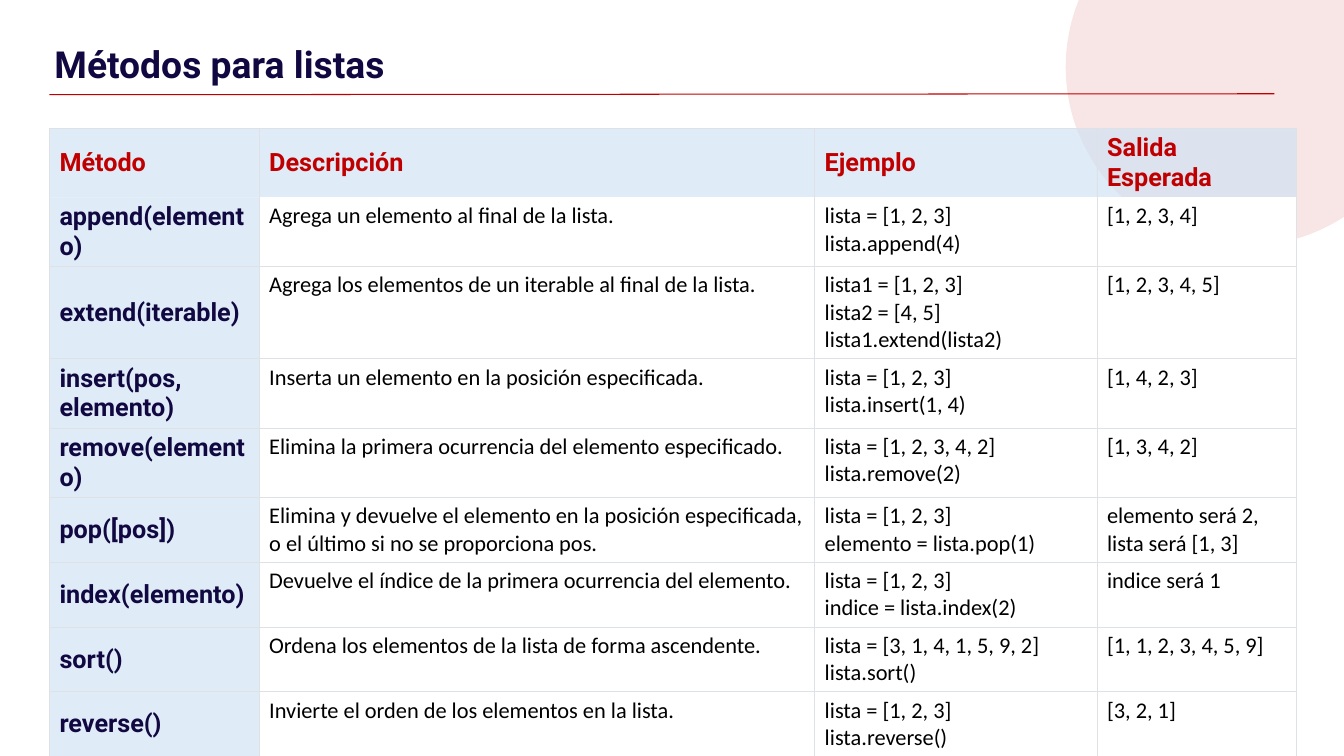
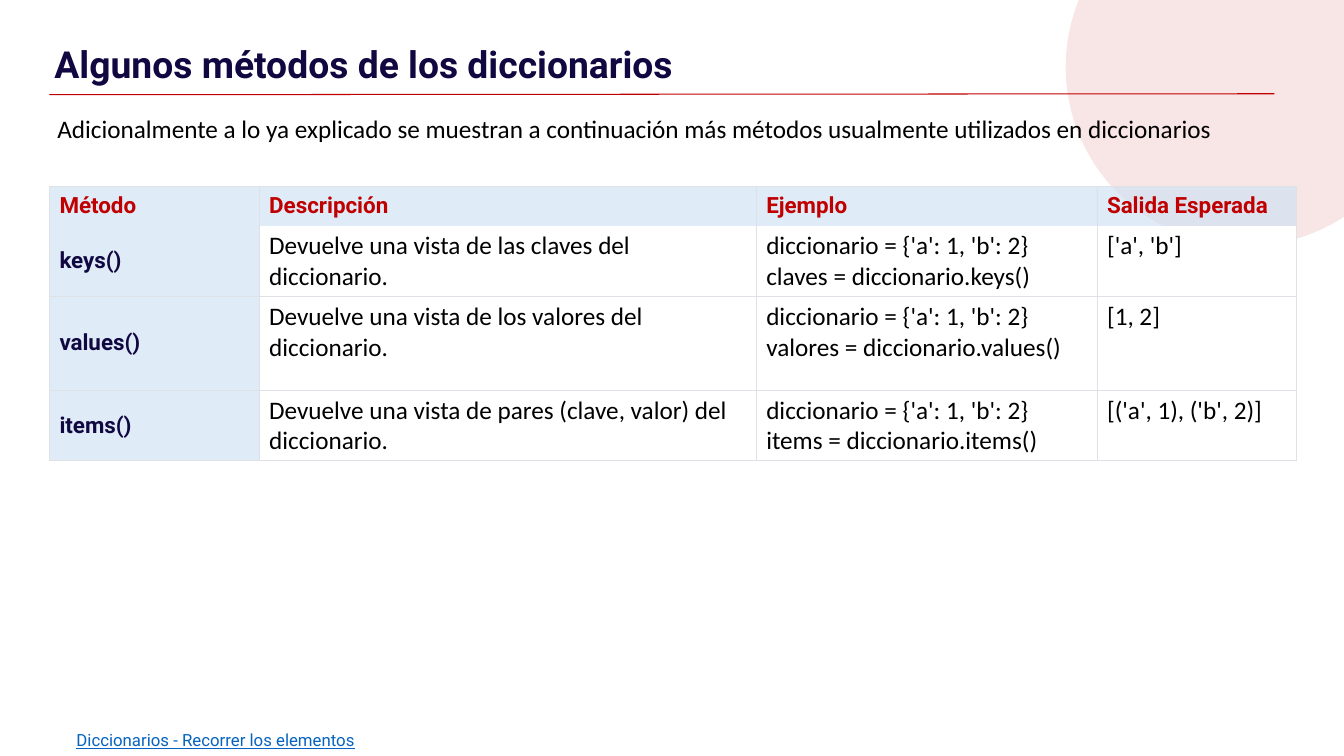
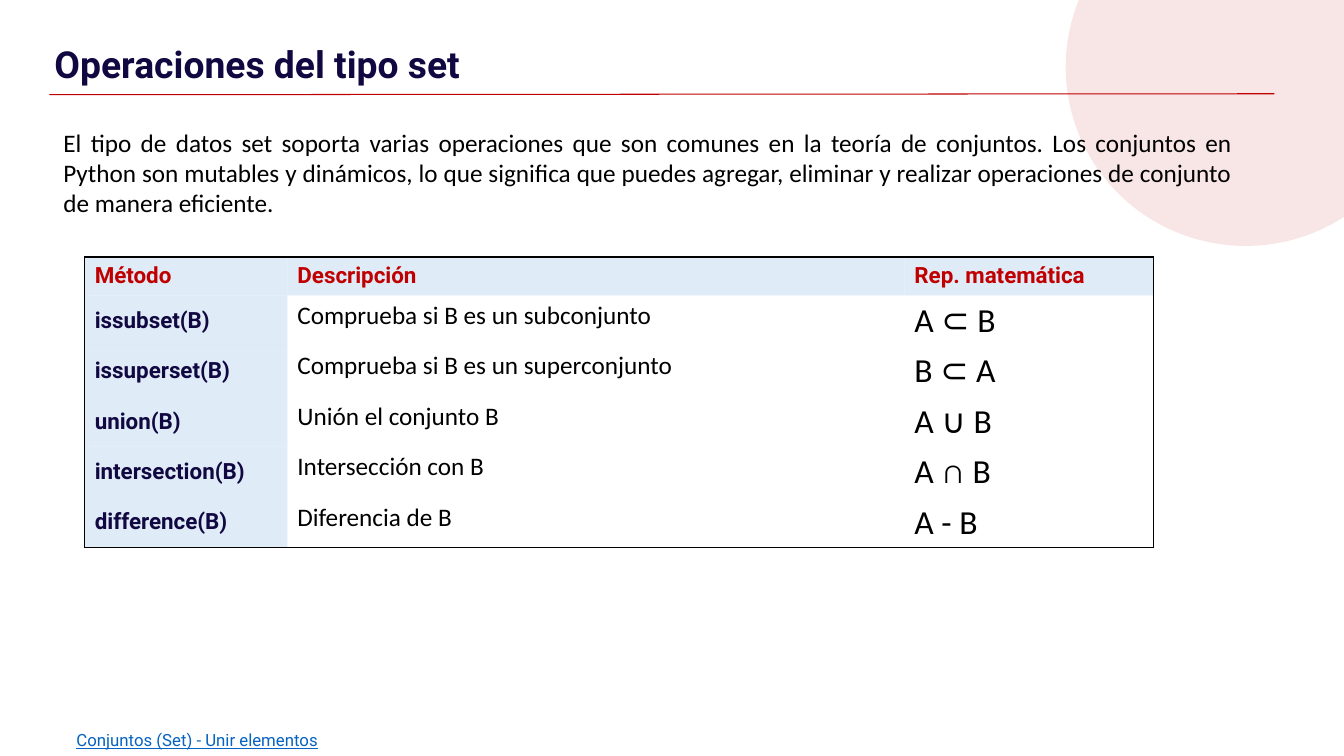
import pptx
import pptx.util
import pptx.dml.color
import pptx.enum.shapes
import pptx.enum.text
import pptx.oxml.ns
import lxml.etree

Inches = pptx.util.Inches
qn = pptx.oxml.ns.qn
Align = pptx.enum.text.PP_ALIGN
Anchor = pptx.enum.text.MSO_ANCHOR

RED, NAVY, BLACK, WHITE = "C00000", "110741", "000000", "FFFFFF"
PALE_BLUE, GRID_GREY, LINK_BLUE = "CFE2F3", "DEE2E6", "0563C1"


def paint(fill, color, opacity=100):
    fill.solid()
    fill.fore_color.rgb = pptx.dml.color.RGBColor.from_string(color)
    if opacity < 100:
        tint = fill._xPr.find(".//" + qn("a:srgbClr"))
        lxml.etree.SubElement(tint, qn("a:alpha"), val=str(opacity * 1000))


def write(frame, text, color, size, align=Align.LEFT, **style):
    frame.text = text
    frame.word_wrap = True
    for para in frame.paragraphs:
        para.alignment = align
        paint(para.font.fill, color)
        para.font.size = pptx.util.Pt(size)
        for name, value in style.items():
            setattr(para.font, name, value)


HEADING = {"name": "Roboto", "bold": True}
BODY = {"name": "Calibri", "bold": False}
TITLE_FRAME = {
    "margin_left": Inches(0.13),
    "margin_right": Inches(0.13),
    "margin_top": Inches(0.46),
    "margin_bottom": 0,
    "vertical_anchor": Anchor.TOP,
    "auto_size": pptx.enum.text.MSO_AUTO_SIZE.NONE,
}

topics = [
    {
        "title": "Métodos para listas",
        "place": (0.49, 1.27),
        "columns": [2.08, 5.51, 2.8, 1.98],
        "heights": [0.39, 0.43] + [0.42] * 5 + [0.63] * 2,
        "heading_size": 18,
        "body_sizes": [16, 16, 16],
        "grid": True,
        "rows": [
            ["Método", "Descripción", "Ejemplo", "Salida Esperada"],
            ["append(elemento)", "Agrega un elemento al final de la lista.",
             "lista = [1, 2, 3]\nlista.append(4)", "[1, 2, 3, 4]"],
            ["extend(iterable)", "Agrega los elementos de un iterable al final de la lista.",
             "lista1 = [1, 2, 3]\nlista2 = [4, 5]\nlista1.extend(lista2)", "[1, 2, 3, 4, 5]"],
            ["insert(pos, elemento)", "Inserta un elemento en la posición especificada.",
             "lista = [1, 2, 3]\nlista.insert(1, 4)", "[1, 4, 2, 3]"],
            ["remove(elemento)", "Elimina la primera ocurrencia del elemento especificado.",
             "lista = [1, 2, 3, 4, 2]\nlista.remove(2)", "[1, 3, 4, 2]"],
            ["pop([pos])",
             "Elimina y devuelve el elemento en la posición especificada, "
             "o el último si no se proporciona pos.",
             "lista = [1, 2, 3]\nelemento = lista.pop(1)", "elemento será 2, lista será [1, 3]"],
            ["index(elemento)", "Devuelve el índice de la primera ocurrencia del elemento.",
             "lista = [1, 2, 3]\nindice = lista.index(2)", "indice será 1"],
            ["sort()", "Ordena los elementos de la lista de forma ascendente.",
             "lista = [3, 1, 4, 1, 5, 9, 2]\nlista.sort()", "[1, 1, 2, 3, 4, 5, 9]"],
            ["reverse()", "Invierte el orden de los elementos en la lista.",
             "lista = [1, 2, 3]\nlista.reverse()", "[3, 2, 1]"],
        ],
    },
    {
        "title": "Algunos métodos de los diccionarios",
        "intro": "Adicionalmente a lo ya explicado se muestran a continuación más métodos "
                 "usualmente utilizados en diccionarios",
        "intro_place": (0.47, 1.08, 12.22, 0.66),
        "link": "Diccionarios - Recorrer los elementos",
        "place": (0.49, 1.85),
        "columns": [2.08, 4.93, 3.38, 1.98],
        "heights": [0.39, 0.65, 0.93, 0.65],
        "heading_size": 16,
        "body_sizes": [18, 18, 18],
        "grid": True,
        "rows": [
            ["Método", "Descripción", "Ejemplo", "Salida Esperada"],
            ["keys()", "Devuelve una vista de las claves del diccionario.",
             "diccionario = {'a': 1, 'b': 2}\nclaves = diccionario.keys()", "['a', 'b']"],
            ["values()", "Devuelve una vista de los valores del diccionario.",
             "diccionario = {'a': 1, 'b': 2}\nvalores = diccionario.values()", "[1, 2]"],
            ["items()", "Devuelve una vista de pares (clave, valor) del diccionario.",
             "diccionario = {'a': 1, 'b': 2}\nitems = diccionario.items()", "[('a', 1), ('b', 2)]"],
        ],
    },
    {
        "title": "Operaciones del tipo set",
        "intro": "El tipo de datos set soporta varias operaciones que son comunes en la teoría de "
                 "conjuntos. Los conjuntos en Python son mutables y dinámicos, lo que significa que "
                 "puedes agregar, eliminar y realizar operaciones de conjunto de manera eficiente.",
        "intro_place": (0.53, 1.21, 11.79, 1.36),
        "link": "Conjuntos (Set) - Unir elementos",
        "place": (0.84, 2.55),
        "columns": [2.01, 6.12, 2.47],
        "heights": [0.38] + [0.47] * 4 + [0.38],
        "heading_size": 16,
        "body_sizes": [18, 24],
        "grid": False,
        "rows": [
            ["Método", "Descripción", "Rep. matemática"],
            ["issubset(B)", "Comprueba si B es un subconjunto", "A ⊂ B"],
            ["issuperset(B)", "Comprueba si B es un superconjunto", "B ⊂ A"],
            ["union(B)", "Unión el conjunto B", "A ∪ B"],
            ["intersection(B)", "Intersección con B", "A ∩ B"],
            ["difference(B)", "Diferencia de B", "A - B"],
        ],
    },
]

deck = pptx.Presentation()
deck.slide_width = Inches(13.33)
deck.slide_height = Inches(7.5)

for topic in topics:
    page = deck.slides.add_slide(deck.slide_layouts[5])

    title = page.shapes.title
    title.left, title.top, title.width, title.height = map(Inches, (0.41, 0, 11.47, 0.76))
    write(title.text_frame, topic["title"], NAVY, 26.6, **HEADING)
    title.text_frame.paragraphs[0].line_spacing = 0.9
    for name, value in TITLE_FRAME.items():
        setattr(title.text_frame, name, value)

    circle = page.shapes.add_shape(
        pptx.enum.shapes.MSO_SHAPE.OVAL, *map(Inches, (10.57, -1.11, 3.57, 3.55)))
    circle.shadow.inherit = False
    paint(circle.fill, RED, 10)
    circle.line.fill.background()

    rule = page.shapes.add_connector(
        pptx.enum.shapes.MSO_CONNECTOR.STRAIGHT, *map(Inches, (0.49, 0.94, 12.64, 0.93)))
    paint(rule.line.fill, RED)
    rule.line.width = pptx.util.Pt(0.75)
    lxml.etree.SubElement(rule._element.spPr, qn("a:effectLst"))

    if "link" in topic:
        box = page.shapes.add_textbox(*map(Inches, (0.66, 7.19, 3.35, 0.3)))
        write(box.text_frame, topic["link"], LINK_BLUE, 12, name="Roboto", underline=True)

    rows, columns = topic["rows"], topic["columns"]
    size = sum(columns), sum(topic["heights"])
    table = page.shapes.add_table(
        len(rows), len(columns), *map(Inches, topic["place"] + size)).table
    table.first_row = table.horz_banding = False
    for column, width in zip(table.columns, columns):
        column.width = Inches(width)
    for row, height in zip(table.rows, topic["heights"]):
        row.height = Inches(height)

    for r, texts in enumerate(rows):
        for c, text in enumerate(texts):
            cell = table.cell(r, c)
            if r == 0 or c == 0:
                write(cell.text_frame, text, NAVY if r else RED, topic["heading_size"], **HEADING)
                cell.vertical_anchor = Anchor.MIDDLE
                paint(cell.fill, PALE_BLUE, 65)
            else:
                write(cell.text_frame, text, BLACK, topic["body_sizes"][c - 1], **BODY)
                if topic["grid"]:
                    paint(cell.fill, WHITE)
                else:
                    cell.fill.background()

            outer = {"L": c == 0, "R": c == len(texts) - 1, "T": r == 0, "B": r == len(rows) - 1}
            under_header = {"T": r == 1, "B": r == 0}
            properties = cell._tc.get_or_add_tcPr()
            for index, (side, on_edge) in enumerate(outer.items()):
                border = lxml.etree.Element(qn("a:ln" + side))
                properties.insert(index, border)
                if on_edge or topic["grid"] and not under_header.get(side):
                    border.set("w", str(pptx.util.Pt(0.75 if topic["grid"] else 0.96)))
                    solid = lxml.etree.SubElement(border, qn("a:solidFill"))
                    lxml.etree.SubElement(
                        solid, qn("a:srgbClr"), val=GRID_GREY if topic["grid"] else BLACK)
                else:
                    lxml.etree.SubElement(border, qn("a:noFill"))

    if "intro" in topic:
        box = page.shapes.add_textbox(*map(Inches, topic["intro_place"]))
        write(box.text_frame, topic["intro"], BLACK, 18, Align.JUSTIFY, name="Calibri")

deck.save("out.pptx")
